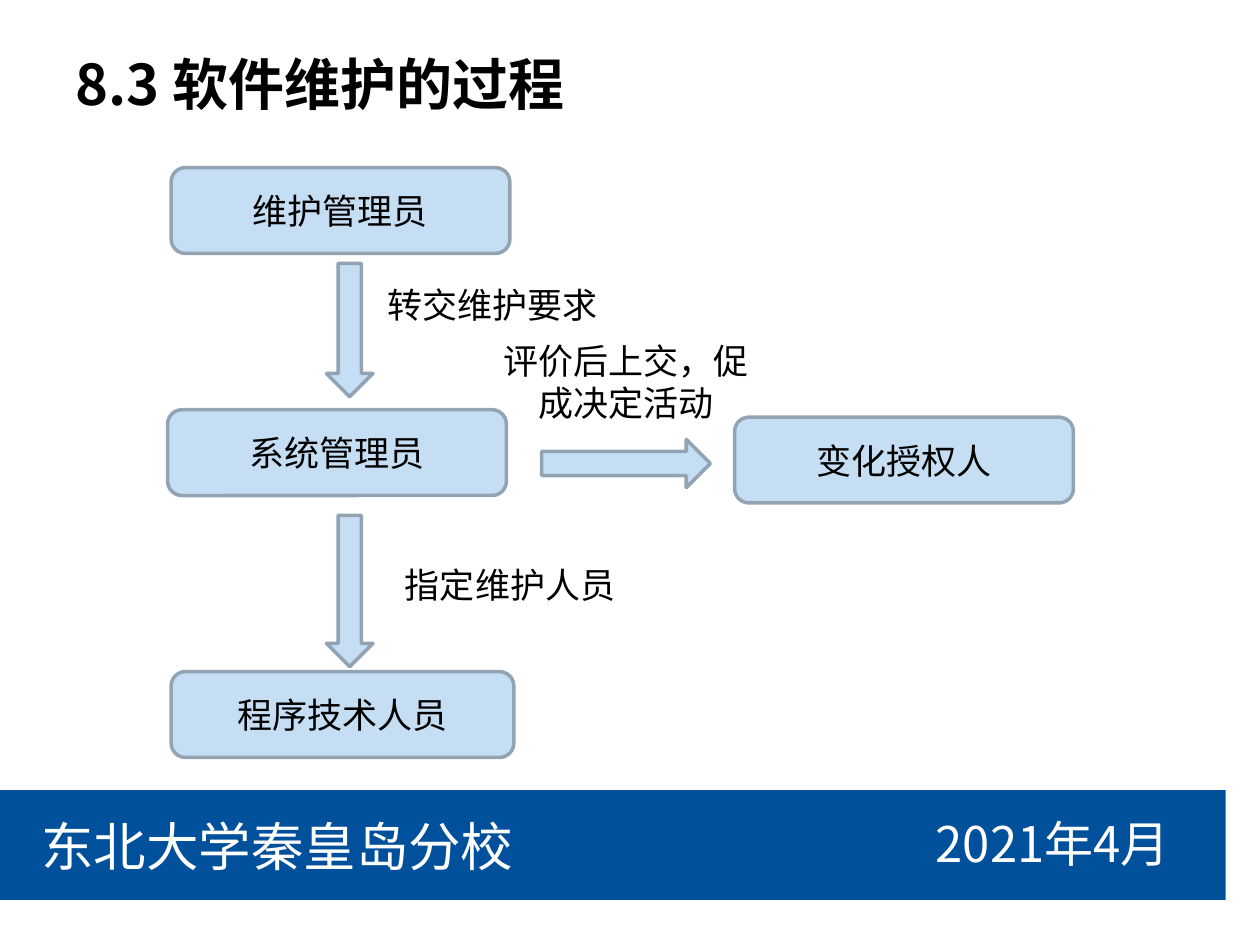
import pptx
import pptx.util
import pptx.dml.color
import pptx.enum.shapes
import pptx.enum.text
import pptx.oxml.ns
import lxml.etree

Cm, Pt = pptx.util.Cm, pptx.util.Pt
RGBColor = pptx.dml.color.RGBColor
MSO_SHAPE = pptx.enum.shapes.MSO_SHAPE
PP_ALIGN = pptx.enum.text.PP_ALIGN
MSO_ANCHOR = pptx.enum.text.MSO_ANCHOR

FONT = "Noto Sans CJK SC"
BLACK = RGBColor(0x00, 0x00, 0x00)
WHITE = RGBColor(0xFF, 0xFF, 0xFF)
NAVY = RGBColor(0x00, 0x50, 0x9B)
PALE = RGBColor(0xC6, 0xDE, 0xF3)
EDGE = RGBColor(0x92, 0xA4, 0xB4)


def write(sp, text, size, color=BLACK, align=PP_ALIGN.CENTER,
          anchor=MSO_ANCHOR.TOP, bold=False, wrap=True):
    tf = sp.text_frame
    tf.word_wrap = wrap
    tf.vertical_anchor = anchor
    p = tf.paragraphs[0]
    p.alignment = align
    r = p.add_run()
    r.text = text
    for name, value in {"size": Pt(size), "bold": bold, "name": FONT}.items():
        setattr(r.font, name, value)
    r.font.color.rgb = color
    ea = lxml.etree.SubElement(r.font._element, pptx.oxml.ns.qn("a:ea"))
    ea.set("typeface", FONT)


def add_block(kind, x, y, w, h, fill=PALE, line=EDGE):
    sp = s.shapes.add_shape(kind, Cm(x), Cm(y), Cm(w), Cm(h))
    sp.shadow.inherit = False
    sp.fill.solid()
    sp.fill.fore_color.rgb = fill
    if line is None:
        sp.line.fill.background()
    else:
        sp.line.color.rgb = line
        sp.line.width = Pt(2)
    return sp


prs = pptx.Presentation()
prs.slide_width, prs.slide_height = Cm(25.4), Cm(19.05)
s = prs.slides.add_slide(prs.slide_layouts[5])

# Title
title = s.shapes.title
box = {"left": 1.27, "top": 0.76, "width": 23.14, "height": 1.83}
for name, value in box.items():
    setattr(title, name, Cm(value))
write(title, "8.3 软件维护的过程", 32, align=PP_ALIGN.LEFT,
      anchor=MSO_ANCHOR.MIDDLE, bold=True)

# Footer band
add_block(MSO_SHAPE.RECTANGLE, 0, 15.93, 24.71, 2.21, NAVY, None)
sp = s.shapes.add_textbox(Cm(0.58), Cm(16.28), Cm(10.13), Cm(1.55))
write(sp, "东北大学秦皇岛分校", 30, WHITE, PP_ALIGN.LEFT, wrap=False)
sp = s.shapes.add_textbox(Cm(18.26), Cm(16.28), Cm(5.92), Cm(1.32))
write(sp, "2021年4月", 28, WHITE)

# Roles
for text, x, y, w in [
    ("维护管理员", 3.45, 3.38, 6.83),
    ("系统管理员", 3.38, 8.26, 6.83),
    ("程序技术人员", 3.45, 13.54, 6.91),
    ("变化授权人", 14.81, 8.41, 6.83),
]:
    sp = add_block(MSO_SHAPE.ROUNDED_RECTANGLE, x, y, w, 1.73)
    write(sp, text, 20, anchor=MSO_ANCHOR.MIDDLE)

# Block arrows between the roles
add_block(MSO_SHAPE.DOWN_ARROW, 6.58, 5.31, 0.94, 2.69)
add_block(MSO_SHAPE.DOWN_ARROW, 6.58, 10.39, 0.94, 3.05)
add_block(MSO_SHAPE.RIGHT_ARROW, 10.92, 8.86, 3.4, 0.97)

# Arrow labels
for text, x, y, h in [
    ("转交维护要求", 7.09, 5.59, 1.12),
    ("指定维护人员", 7.44, 11.23, 1.12),
    ("评价后上交，促成决定活动", 9.78, 6.71, 1.96),
]:
    sp = s.shapes.add_textbox(Cm(x), Cm(y), Cm(5.69), Cm(h))
    write(sp, text, 20)

prs.save("out.pptx")
